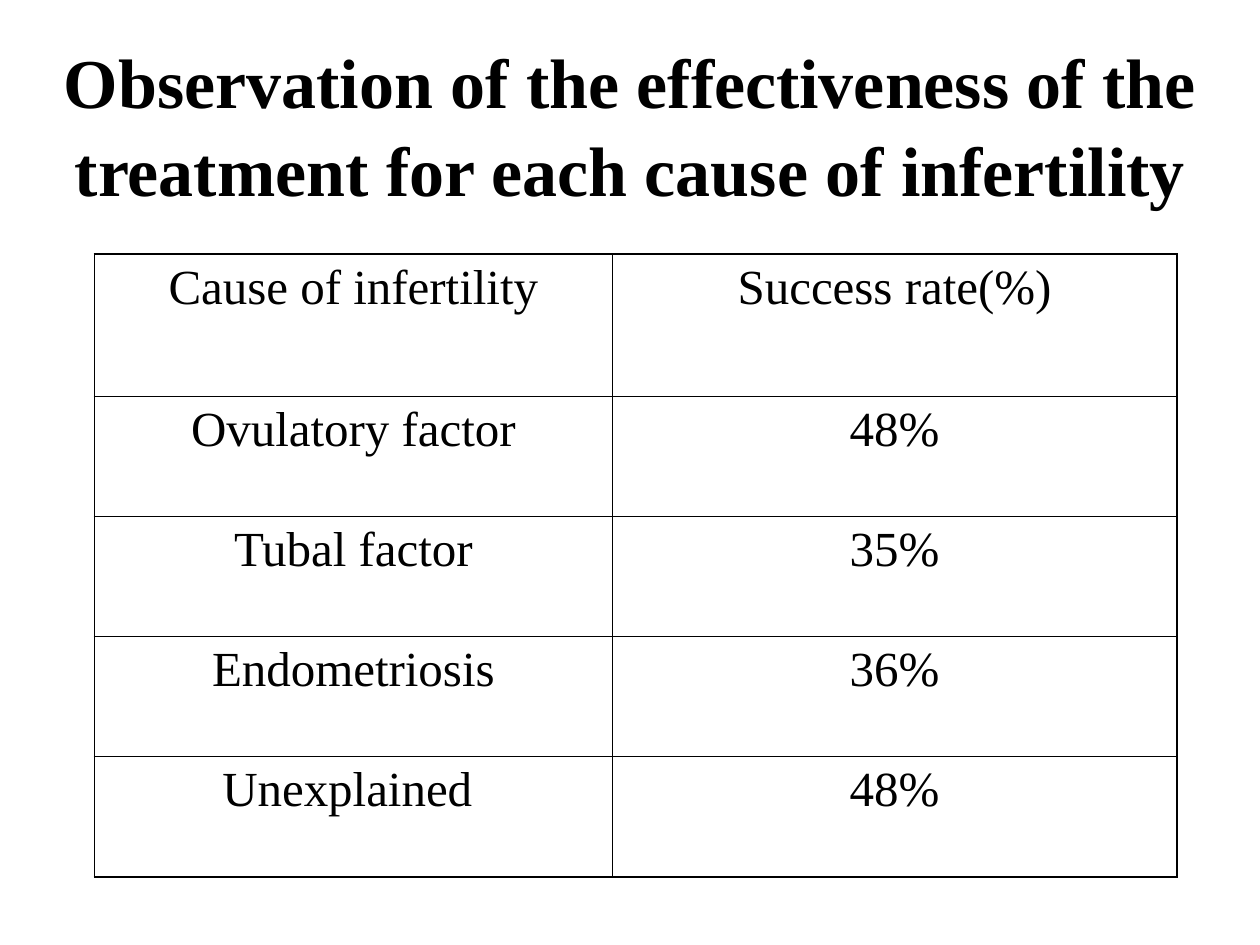
"""Build a slide with a table of treatment success rates by cause of infertility."""
from typing import NamedTuple

from lxml import etree
from pptx import Presentation
from pptx.dml.color import RGBColor
from pptx.enum.text import MSO_ANCHOR, MSO_AUTO_SIZE, PP_ALIGN
from pptx.oxml.ns import qn
from pptx.util import Pt

CENTER = PP_ALIGN.CENTER
MIDDLE = MSO_ANCHOR.MIDDLE
NO_AUTOSIZE = MSO_AUTO_SIZE.NONE
FONT = "Times New Roman"
BLACK = "000000"
THICK, THIN = 1.08, 0.45
COL_WIDTHS = (295.9, 322.6)
ROW_HEIGHTS = (81.4, 68.6, 68.6, 68.6, 68.6)


class Row(NamedTuple):
    cause: str
    rate: str


ROWS = (
    Row("Cause of infertility", "Success rate(%)"),
    Row("Ovulatory factor", "48%"),
    Row("Tubal factor", "35%"),
    Row("Endometriosis", "36%"),
    Row("Unexplained ", "48%"),
)


def rgb(value: str) -> RGBColor:
    return RGBColor.from_string(value)


def format_text(p, size: float, bold: bool) -> None:
    p.alignment = CENTER
    p.font.name = FONT
    p.font.size = Pt(size)
    p.font.bold = bold
    p.font.color.rgb = rgb(BLACK)


def add_border(cell, side: str, width: float) -> None:
    ln = etree.SubElement(cell._tc.get_or_add_tcPr(), qn(f"a:ln{side}"), w=str(Pt(width)))
    fill = etree.SubElement(ln, qn("a:solidFill"))
    etree.SubElement(fill, qn("a:srgbClr"), val=BLACK)


def add_title(s, text: str) -> None:
    sp = s.shapes.title
    sp.left, sp.top, sp.width, sp.height = Pt(0), Pt(23), Pt(720), Pt(90)
    tf = sp.text_frame
    tf.text = text
    tf.word_wrap = True
    tf.auto_size = NO_AUTOSIZE
    tf.vertical_anchor = MIDDLE
    tf.margin_top = Pt(8)
    p = tf.paragraphs[0]
    p.line_spacing = 1.04
    format_text(p, 40, True)


def add_rate_table(s, rows: tuple[Row, ...]) -> None:
    frame = s.shapes.add_table(len(rows), len(COL_WIDTHS), Pt(54), Pt(145.2),
                               Pt(sum(COL_WIDTHS)), Pt(sum(ROW_HEIGHTS)))
    table = frame.table
    table.first_row = table.horz_banding = False
    for col, width in zip(table.columns, COL_WIDTHS):
        col.width = Pt(width)
    last_row, last_col = len(rows) - 1, len(COL_WIDTHS) - 1
    for i, row in enumerate(rows):
        table.rows[i].height = Pt(ROW_HEIGHTS[i])
        for j, text in enumerate(row):
            cell = table.cell(i, j)
            cell.text = text
            format_text(cell.text_frame.paragraphs[0], 28, False)
            outer = {"L": j == 0, "R": j == last_col, "T": i == 0, "B": i == last_row}
            for side, is_outer in outer.items():
                add_border(cell, side, THICK if is_outer else THIN)
            cell.fill.background()


def main() -> None:
    prs = Presentation()
    prs.slide_width, prs.slide_height = Pt(720), Pt(540)
    s = prs.slides.add_slide(prs.slide_layouts[5])
    add_title(s, "Observation of the effectiveness of the treatment for each cause of infertility")
    add_rate_table(s, ROWS)
    prs.save("out.pptx")


if __name__ == "__main__":
    main()
